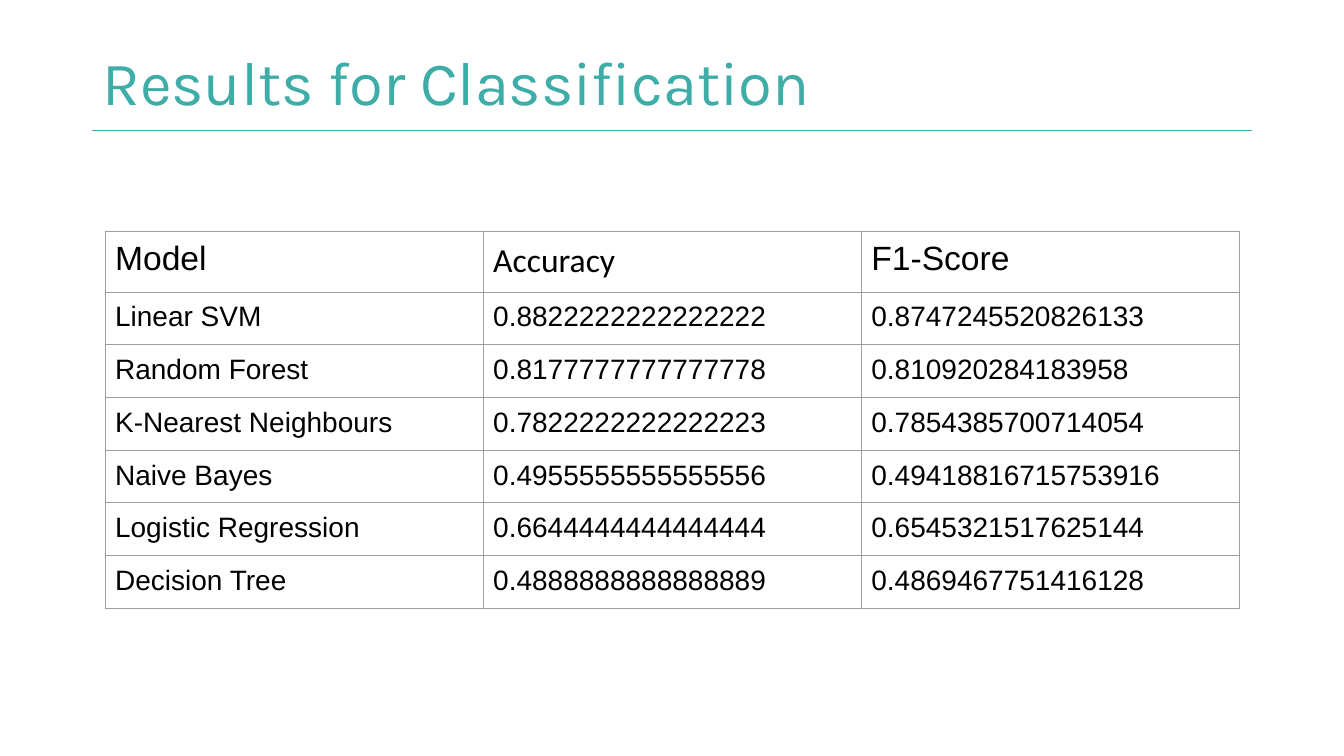
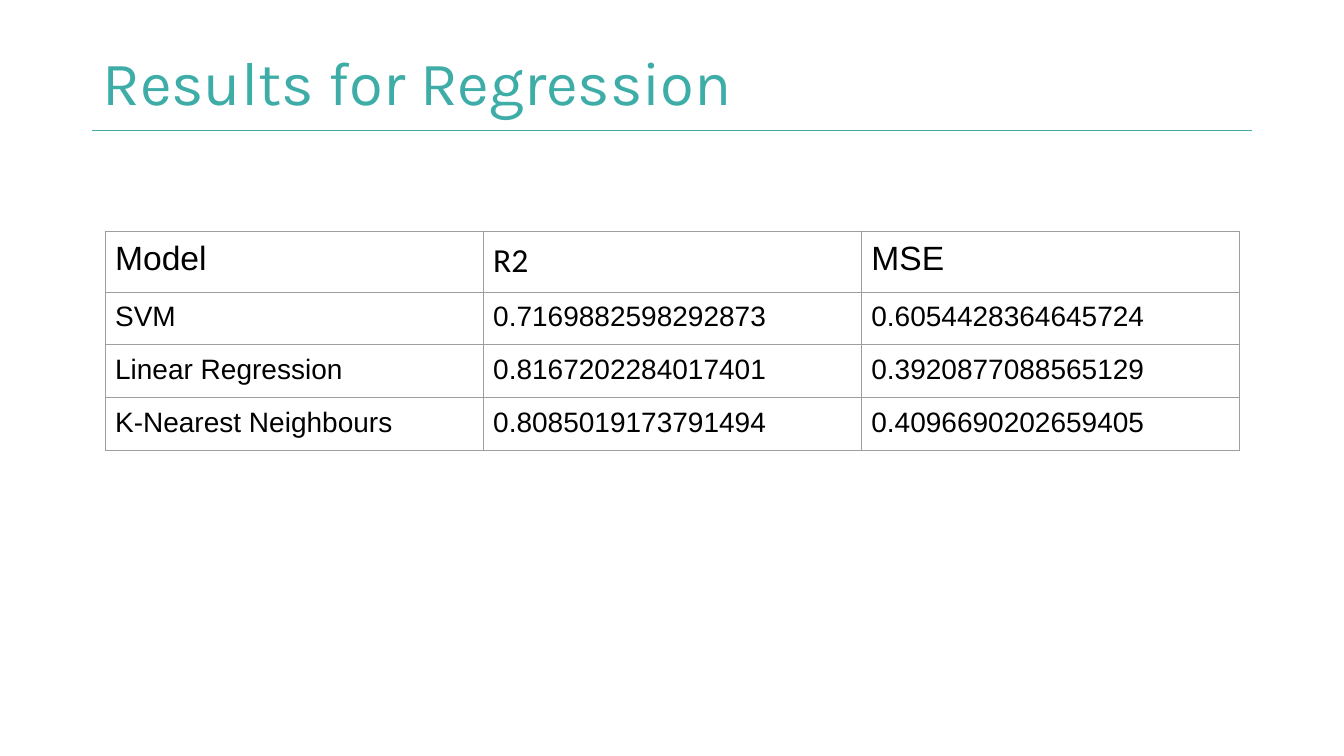
from lxml.etree import SubElement
from pptx import Presentation
from pptx.dml.color import RGBColor
from pptx.enum.shapes import MSO_CONNECTOR
from pptx.enum.text import MSO_ANCHOR
from pptx.oxml.ns import qn
from pptx.util import Cm, Pt

COLOURS = {"title": "3EADA7", "rule": "3DACA7", "grid": "9E9E9E", "text": "000000"}

# Shared formats
TITLE_FONT = {"name": "Karla", "size": Pt(44)}
BODY_FONT = {"name": "Arial", "size": Pt(20)}
HEADER_FONTS = [{"name": name, "size": Pt(24)} for name in ("Arial", "Calibri", "Arial")]
TITLE_FRAME = {
    "word_wrap": True, "vertical_anchor": MSO_ANCHOR.MIDDLE,
    "margin_left": Cm(0.25), "margin_right": Cm(0.25),
    "margin_top": Cm(0.13), "margin_bottom": Cm(0.13),
}
CELL_FRAME = {
    "vertical_anchor": MSO_ANCHOR.TOP,
    "margin_left": Cm(0.25), "margin_right": Cm(0.25),
    "margin_top": Cm(0.24), "margin_bottom": Cm(0.24),
}
PLAIN_TABLE = {"first_row": False, "horz_banding": False}

# Shared layout
LEFT, RULE_TOP, RULE_WIDTH = Cm(2.33), Cm(3.3), Cm(29.21)
COLUMN_WIDTH, HEADER_HEIGHT, ROW_HEIGHT = Cm(9.53), Cm(1.54), Cm(1.29)
LINE_WIDTH = Pt(0.75)

RESULTS = [
    ("Results for Classification", [
        ("Model", "Accuracy", "F1-Score"),
        ("Linear SVM", "0.8822222222222222", "0.8747245520826133"),
        ("Random Forest", "0.8177777777777778", "0.810920284183958"),
        ("K-Nearest Neighbours", "0.7822222222222223", "0.7854385700714054"),
        ("Naive Bayes", "0.4955555555555556", "0.49418816715753916"),
        ("Logistic Regression", "0.6644444444444444", "0.6545321517625144"),
        ("Decision Tree", "0.4888888888888889", "0.4869467751416128"),
    ]),
    ("Results for Regression", [
        ("Model", "R2", "MSE"),
        ("SVM", "0.7169882598292873", "0.6054428364645724"),
        ("Linear Regression", "0.8167202284017401", "0.3920877088565129"),
        ("K-Nearest Neighbours", "0.8085019173791494", "0.4096690202659405"),
    ]),
]


def apply_format(target, values):
    for attribute, value in values.items():
        setattr(target, attribute, value)


def write_text(paragraph, text, font_format, colour):
    run = paragraph.add_run()
    run.text = text
    apply_format(run.font, font_format)
    run.font.color.rgb = RGBColor.from_string(COLOURS[colour])


def add_rule(slide):
    rule = slide.shapes.add_connector(
        MSO_CONNECTOR.STRAIGHT, LEFT, RULE_TOP, LEFT + RULE_WIDTH, RULE_TOP)
    rule.line.width = LINE_WIDTH
    rule.line.color.rgb = RGBColor.from_string(COLOURS["rule"])
    SubElement(rule._element.spPr, qn("a:effectLst"))


def add_title(slide, text):
    frame = slide.shapes.add_textbox(LEFT, Cm(1.01), Cm(26.24), Cm(2.29)).text_frame
    apply_format(frame, TITLE_FRAME)
    paragraph = frame.paragraphs[0]
    paragraph.line_spacing = 0.9
    write_text(paragraph, text, TITLE_FONT, "title")


def add_borders(cell):
    properties = cell._tc.get_or_add_tcPr()
    for position, side in enumerate(("lnL", "lnR", "lnT", "lnB")):
        border = SubElement(properties, qn(f"a:{side}"), w=str(LINE_WIDTH))
        fill = SubElement(border, qn("a:solidFill"))
        SubElement(fill, qn("a:srgbClr"), val=COLOURS["grid"])
        properties.insert(position, border)


def add_results_table(slide, rows):
    columns = len(rows[0])
    height = HEADER_HEIGHT + ROW_HEIGHT * (len(rows) - 1)
    table = slide.shapes.add_table(
        len(rows), columns, Cm(2.65), Cm(5.82), COLUMN_WIDTH * columns, height).table
    apply_format(table, PLAIN_TABLE)
    for column in table.columns:
        column.width = COLUMN_WIDTH
    for row_index, row in enumerate(rows):
        is_header = row_index == 0
        table.rows[row_index].height = HEADER_HEIGHT if is_header else ROW_HEIGHT
        for column_index, text in enumerate(row):
            cell = table.cell(row_index, column_index)
            apply_format(cell, CELL_FRAME)
            cell.fill.background()
            add_borders(cell)
            font_format = HEADER_FONTS[column_index] if is_header else BODY_FONT
            write_text(cell.text_frame.paragraphs[0], text, font_format, "text")


def main():
    presentation = Presentation()
    presentation.slide_width, presentation.slide_height = Cm(33.87), Cm(19.05)
    blank = presentation.slide_layouts[6]
    for title, rows in RESULTS:
        slide = presentation.slides.add_slide(blank)
        add_rule(slide)
        add_title(slide, title)
        add_results_table(slide, rows)
    presentation.save("out.pptx")


if __name__ == "__main__":
    main()
